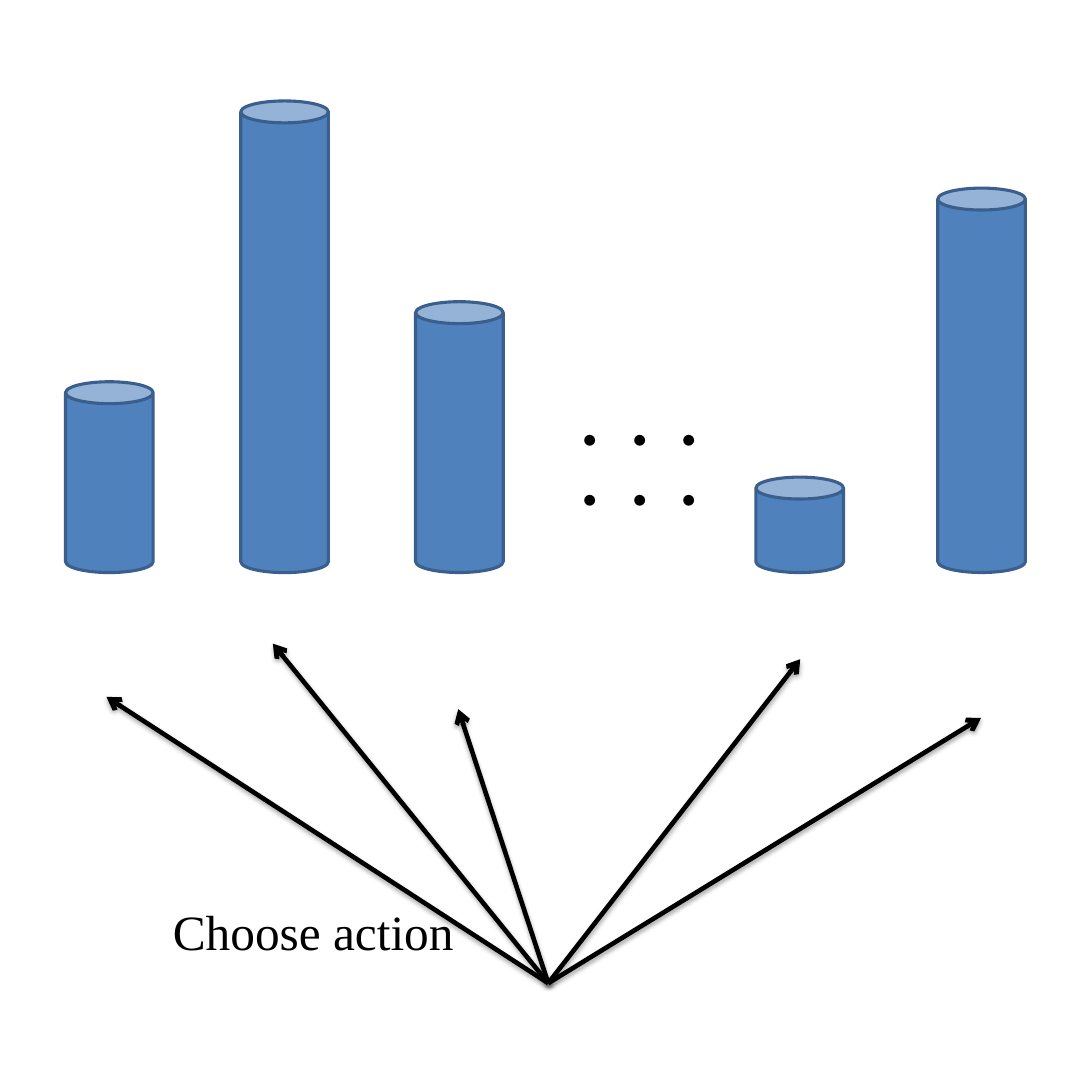
from lxml.etree import SubElement
from pptx import Presentation
from pptx.dml.color import RGBColor
from pptx.enum.shapes import MSO_CONNECTOR as Connector, MSO_SHAPE as Shape
from pptx.enum.text import MSO_AUTO_SIZE as AutoSize
from pptx.oxml.ns import qn
from pptx.util import Pt

SIDE = 708.5
CANS = [(113.7, 306), (0, 123.8), (227.1, 175.7), (447.9, 61.9), (565.9, 249.4)]
TARGETS = [(0, 34.6), (107.9, 0), (228.2, 42.5), (450.1, 10.1), (567.4, 48.2)]
LABEL = {"name": "Times New Roman", "size": Pt(32)}


def colour(hex_string):
    """Turn a hex string into a colour."""
    return RGBColor.from_string(hex_string)


def add_cans(page, left, top, width, height):
    """Stand the cans on the bottom edge of the box."""
    for offset, tall in CANS:
        can = page.shapes.add_shape(Shape.CAN, Pt(left + offset), Pt(top + height - tall),
                                    Pt(width), Pt(tall))
        can.shadow.inherit = False
        can.fill.solid()
        can.fill.fore_color.rgb = colour("4F81BD")
        can.line.color.rgb = colour("3A5F8C")
        can.line.width = Pt(2)


def add_arrow(page, start, end):
    """Draw a black arrow with a soft shadow below it."""
    arrow = page.shapes.add_connector(Connector.STRAIGHT, *map(Pt, start + end))
    arrow.line.color.rgb = colour("000000")
    arrow.line.width = Pt(3)
    SubElement(arrow.line._get_or_add_ln(), qn("a:tailEnd"), type="arrow")
    effects = SubElement(arrow._element.spPr, qn("a:effectLst"))
    shadow = SubElement(effects, qn("a:outerShdw"), blurRad=str(Pt(3.1)), dist=str(Pt(1.8)),
                        dir="5400000", rotWithShape="0")
    black = SubElement(shadow, qn("a:srgbClr"), val="000000")
    SubElement(black, qn("a:alpha"), val="35000")


def add_fan(page, left, top, width, height):
    """Spread the arrows upwards from one point on the bottom of the box."""
    hub = (left + width / 2, top + height)
    for across, down in TARGETS:
        add_arrow(page, hub, (left + across, top + down))


def add_label(page, left, top, width, height, text, bold=False, wrap=False):
    """Write one line of text that may wrap inside the box."""
    box = page.shapes.add_textbox(*map(Pt, (left, top, width, height)))
    box.text_frame.word_wrap = wrap
    box.text_frame.auto_size = AutoSize.SHAPE_TO_FIT_TEXT
    span = box.text_frame.paragraphs[0].add_run()
    span.text = text
    for name, value in {**LABEL, "bold": bold}.items():
        setattr(span.font, name, value)
    span.font.color.rgb = colour("000000")
    SubElement(span.font._element, qn("a:ea"), typeface=LABEL["name"])


def main():
    """Build the slide and save it."""
    deck = Presentation()
    deck.slide_width = deck.slide_height = Pt(SIDE)
    page = deck.slides.add_slide(deck.slide_layouts[6])
    add_cans(page, 42.5, 65.5, 56.9, 306)
    add_label(page, 360, 262.8, 111.6, 46.1, "・・・・・・", bold=True, wrap=True)
    add_fan(page, 69.1, 417.6, 573.2, 220.3)
    add_label(page, 105.1, 581, 198.7, 46.1, "Choose action")
    deck.save("out.pptx")


if __name__ == "__main__":
    main()
